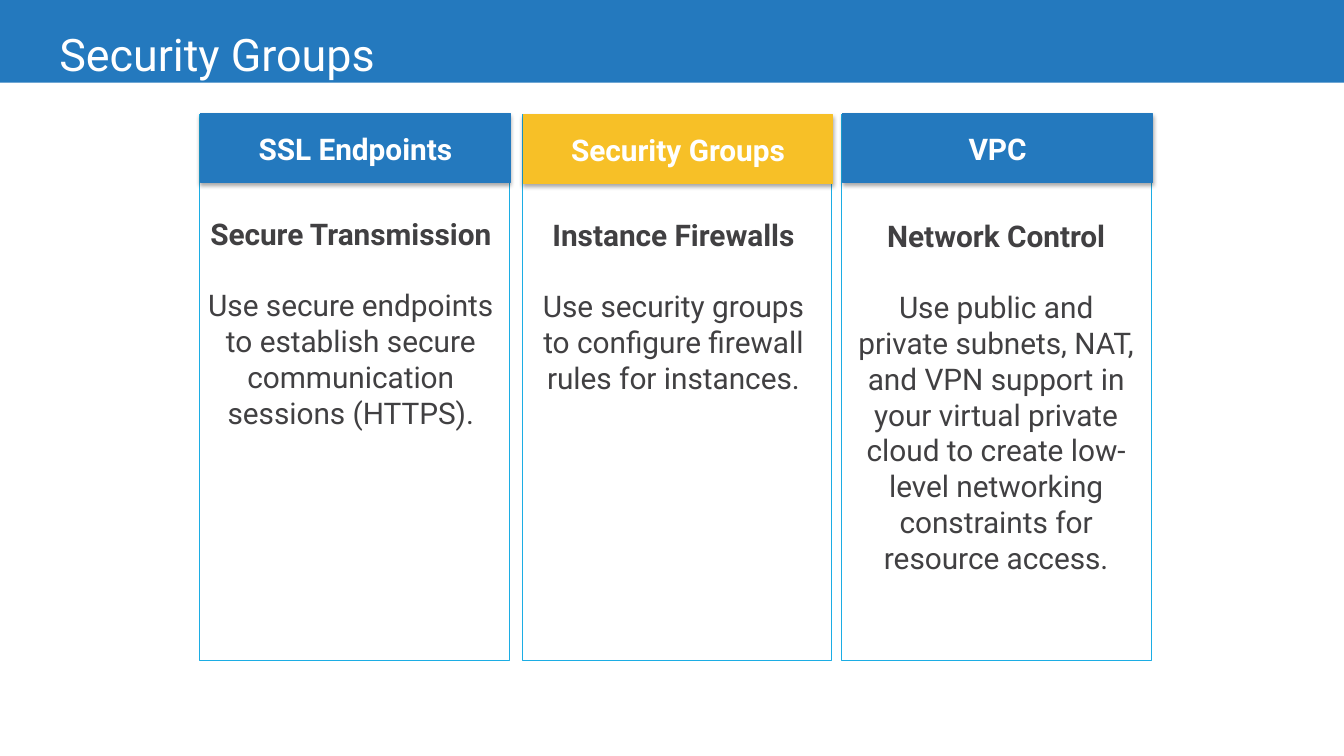
from dataclasses import dataclass

from lxml import etree
from pptx import Presentation
from pptx import util as u
from pptx.dml.color import RGBColor
from pptx.enum import shapes, text
from pptx.oxml import ns

FONT = "Roboto"
BLUE, YELLOW, CYAN = "2479BE", "F7C027", "1CADE4"
WHITE, GREY = "FFFFFF", "414042"
COLUMN_WIDTH = 3.07
BODY_SIZE = 21.3


@dataclass
class Column:
    left: float
    header_top: float
    color: str
    header: str
    heading: str
    description: str
    text_box: tuple[float, float, float, float]


COLUMNS = [
    Column(1.98, 1.13, BLUE, "SSL Endpoints", "Secure Transmission",
           "Use secure endpoints to establish secure communication sessions (HTTPS).",
           (1.88, 2.09, 3.2, 2.97)),
    Column(5.18, 1.14, YELLOW, "Security Groups", "Instance Firewalls",
           "Use security groups to configure firewall rules for instances.",
           (5.2, 2.1, 2.96, 2.25)),
    Column(8.35, 1.13, BLUE, "VPC", "Network Control",
           "Use public and private subnets, NAT, and VPN support in your virtual private "
           "cloud to create low-level networking constraints for resource access.",
           (8.39, 2.11, 2.98, 4.05)),
]


def rgb(color: str) -> RGBColor:
    return RGBColor.from_string(color)


def add_rect(slide, left: float, top: float, width: float, height: float,
             fill: str, line: str | None = None, line_width: float = 0.75):
    rect = slide.shapes.add_shape(
        shapes.MSO_SHAPE.RECTANGLE, *map(u.Inches, (left, top, width, height)))
    rect.shadow.inherit = False
    rect.fill.solid()
    rect.fill.fore_color.rgb = rgb(fill)
    if line:
        rect.line.color.rgb = rgb(line)
        rect.line.width = u.Pt(line_width)
    else:
        rect.line.fill.background()
    return rect


def add_text_box(slide, left: float, top: float, width: float, height: float):
    box = slide.shapes.add_textbox(*map(u.Inches, (left, top, width, height)))
    box.text_frame.word_wrap = True
    return box.text_frame


def style(paragraph, size: float, color: str, bold: bool = False,
          align=text.PP_ALIGN.CENTER) -> None:
    paragraph.alignment = align
    for run in paragraph.runs:
        run.font.name = FONT
        run.font.size = u.Pt(size)
        run.font.bold = bold
        run.font.color.rgb = rgb(color)


def add_drop_shadow(shape) -> None:
    effects = shape._element.spPr.find(ns.qn("a:effectLst"))
    shadow = etree.SubElement(
        effects, ns.qn("a:outerShdw"), blurRad=str(u.Pt(3.1)), dist=str(u.Pt(1.8)),
        dir="5400000", rotWithShape="0")
    shade = etree.SubElement(shadow, ns.qn("a:srgbClr"), val="000000")
    etree.SubElement(shade, ns.qn("a:alpha"), val="35000")


def add_column(slide, column: Column) -> None:
    # Outlined panel
    add_rect(slide, column.left, 1.13, COLUMN_WIDTH, 5.42, WHITE, CYAN, 0.5)

    # Colored header
    header = add_rect(slide, column.left + 0.01, column.header_top, COLUMN_WIDTH, 0.68,
                      column.color, column.color)
    add_drop_shadow(header)
    header.text_frame.text = column.header
    header.text_frame.vertical_anchor = text.MSO_ANCHOR.MIDDLE
    style(header.text_frame.paragraphs[0], BODY_SIZE, WHITE, bold=True)

    # Heading and description
    frame = add_text_box(slide, *column.text_box)
    heading = frame.paragraphs[0]
    heading.text = column.heading
    style(heading, BODY_SIZE, GREY, bold=True)
    description = frame.add_paragraph()
    description.text = column.description
    description.space_before = u.Pt(25.5)
    style(description, BODY_SIZE, GREY)


def main() -> None:
    deck = Presentation()
    deck.slide_width, deck.slide_height = u.Inches(13.33), u.Inches(7.5)
    slide = deck.slides.add_slide(deck.slide_layouts[6])

    # Title band
    add_rect(slide, 0, 0, 13.33, 0.82, BLUE)
    title = add_text_box(slide, 0.49, 0.17, 11.96, 0.79)
    title.text = "Security Groups"
    title.vertical_anchor = text.MSO_ANCHOR.MIDDLE
    title.paragraphs[0].line_spacing = 0.9
    style(title.paragraphs[0], 32, WHITE, align=text.PP_ALIGN.LEFT)

    # Three columns
    for column in COLUMNS:
        add_column(slide, column)

    deck.save("out.pptx")


if __name__ == "__main__":
    main()
